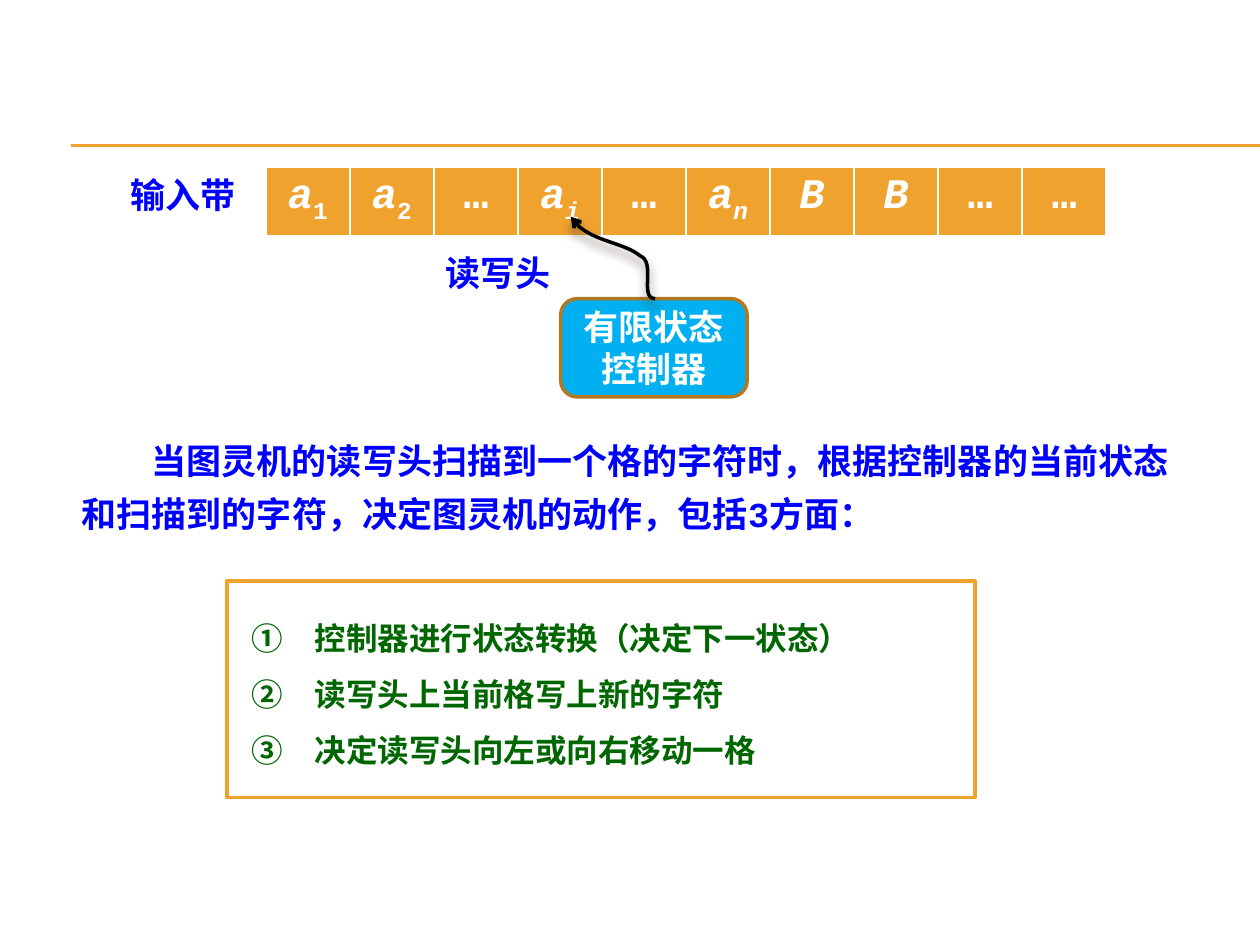
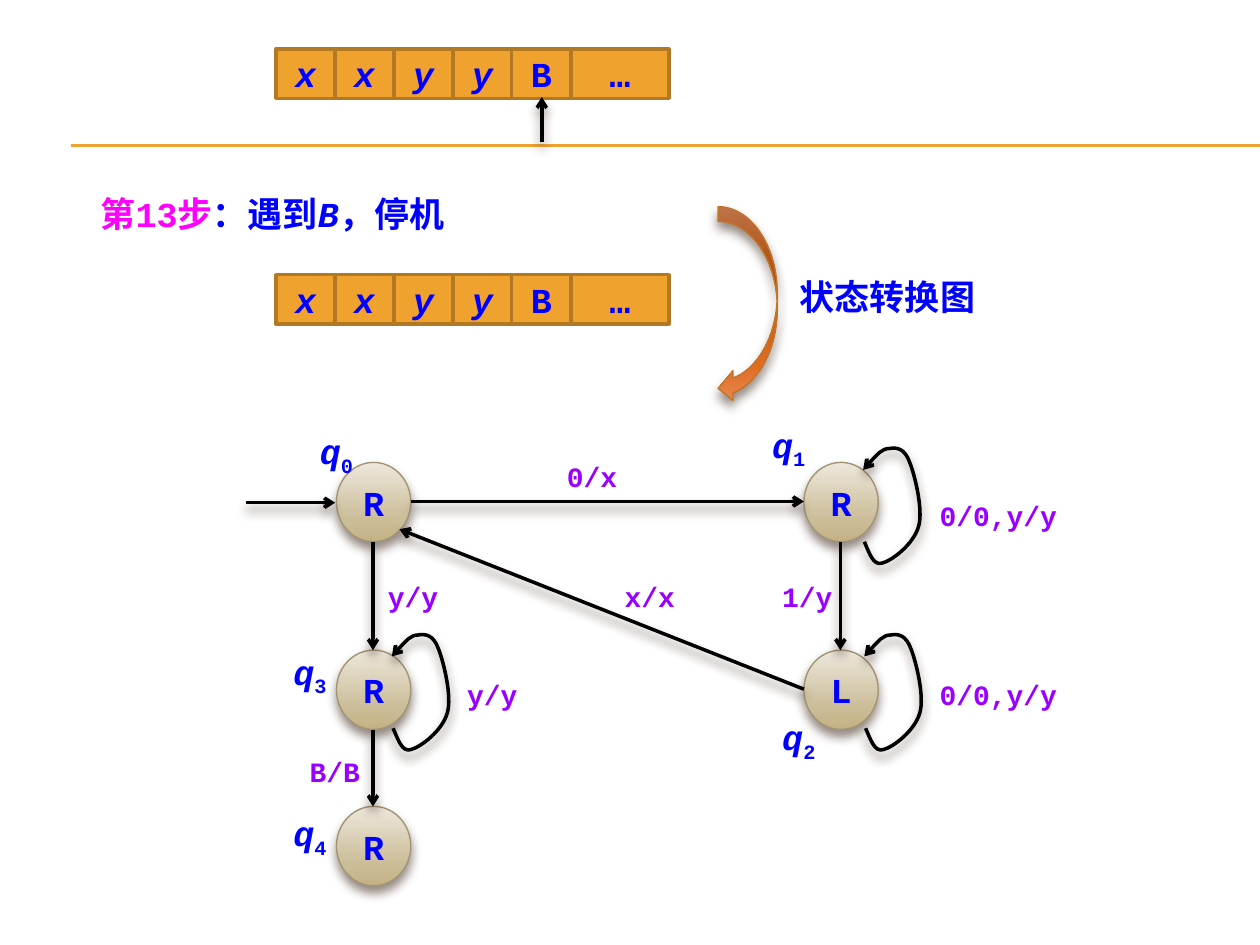
from dataclasses import dataclass

from lxml import etree
from pptx import Presentation
from pptx.dml.color import RGBColor
from pptx.enum.dml import MSO_THEME_COLOR
from pptx.enum.shapes import MSO_CONNECTOR, MSO_SHAPE
from pptx.enum.text import MSO_ANCHOR, MSO_AUTO_SIZE, PP_ALIGN
from pptx.oxml.ns import qn
from pptx.util import Inches, Pt

CENTER, TOP, MIDDLE = PP_ALIGN.CENTER, MSO_ANCHOR.TOP, MSO_ANCHOR.MIDDLE
STRAIGHT, GROW = MSO_CONNECTOR.STRAIGHT, MSO_AUTO_SIZE.SHAPE_TO_FIT_TEXT
RECTANGLE, ROUNDED, OVAL = MSO_SHAPE.RECTANGLE, MSO_SHAPE.ROUNDED_RECTANGLE, MSO_SHAPE.OVAL
CURVED_ARROW = MSO_SHAPE.CURVED_LEFT_ARROW
ACCENT = MSO_THEME_COLOR.ACCENT_1


@dataclass(frozen=True)
class Theme:
    mono: str = "Courier New"
    chinese: str = "Noto Sans CJK SC"
    white: str = "FFFFFF"
    black: str = "000000"
    amber: str = "F0A22E"
    amber_edge: str = "B27822"
    sky: str = "00B0F0"
    blue: str = "0000FF"
    green: str = "006600"
    purple: str = "9900FF"
    magenta: str = "FF00FF"
    shadow: str = "4E3B30"
    state_edge: str = "A19574"
    turn_edge: str = "C17529"
    state_stops: tuple = ((0, "EDE8DC"), (72, "CCBD99"), (100, "C4B284"))
    turn_stops: tuple = ((0, "EE8F5B"), (25, "E06D21"), (50, "D0641C"),
                         (65, "D0641C"), (80, "DE6C20"), (100, "E88852"))
    tape_size: int = 24
    body_size: int = 20
    list_size: int = 18
    edge_size: int = 16
    line_pitch: int = 24
    stroke: float = 2
    hairline: float = 0.79


THEME = Theme()
LOOP = [(0.01, 0.75), (0.05, 0.84), (0.08, 0.94), (0.15, 0.92),
        (0.23, 0.9), (0.4, 0.77), (0.44, 0.63),
        (0.48, 0.5), (0.41, 0.22), (0.37, 0.12),
        (0.33, 0.01), (0.27, 0), (0.21, 0.01),
        (0.15, 0.01), (0.07, 0.1), (0, 0.18)]
HEAD_CURVE = [(0.67, 0.65), (0.54, 0.65), (0.68, 0.36), (0.55, 0.31),
              (0.43, 0.21), (0.11, 0.19), (0, 0)]


def rgb(color):
    return RGBColor.from_string(color)


def add_xml(parent, tag, **attributes):
    return etree.SubElement(parent, qn(tag), attributes)


def set_effect(shape, shadowed=False):
    properties = shape._element.spPr
    for effect in properties.findall(qn("a:effectLst")):
        properties.remove(effect)
    effects = add_xml(properties, "a:effectLst")
    if shadowed:
        shadow = add_xml(effects, "a:outerShdw", blurRad=str(Pt(6)), dist=str(Pt(4)),
                         dir="5400000", rotWithShape="0")
        tint = add_xml(shadow, "a:srgbClr", val=THEME.shadow)
        add_xml(tint, "a:alpha", val="60000")


def set_line(shape, color, width):
    shape.line.color.rgb = rgb(color)
    shape.line.width = Pt(width)


def add_arrowhead(shape):
    outline = shape._element.spPr.find(qn("a:ln"))
    add_xml(outline, "a:tailEnd", type="arrow")


def set_gradient(shape, stops):
    shape.fill.gradient()
    shape.fill.gradient_angle = 270
    stop_list = shape._element.spPr.find(".//" + qn("a:gsLst"))
    for old_stop in list(stop_list):
        stop_list.remove(old_stop)
    for position, color in stops:
        stop = add_xml(stop_list, "a:gs", pos=str(position * 1000))
        add_xml(stop, "a:srgbClr", val=color)


def write(paragraph, runs, size, color, font=THEME.mono):
    """Each run is text, marks (i = italic, s = subscript) and an optional colour."""
    for text, marks, *tint in runs:
        run = paragraph.add_run()
        run.text = text
        run.font.size = Pt(size)
        run.font.name = font
        run.font.bold = True
        run.font.italic = "i" in marks
        run.font.color.rgb = rgb(tint[0] if tint else color)
        properties = run.font._element
        add_xml(properties, "a:ea", typeface=THEME.chinese)
        if "s" in marks:
            properties.set("baseline", "-25000")


def add_label(slide, left, top, width, runs, size=THEME.body_size, color=THEME.blue,
              font=THEME.mono, pitch=None, height=0.44):
    box = slide.shapes.add_textbox(Inches(left), Inches(top), Inches(width), Inches(height))
    frame = box.text_frame
    frame.word_wrap = True
    frame.auto_size = GROW
    paragraph = frame.paragraphs[0]
    if pitch:
        paragraph.line_spacing = Pt(pitch)
    write(paragraph, runs, size, color, font)
    return paragraph


def add_box(slide, kind, left, top, width, height, fill, edge, stroke=THEME.stroke,
            shadowed=False):
    shape = slide.shapes.add_shape(kind, Inches(left), Inches(top), Inches(width), Inches(height))
    if isinstance(fill, tuple):
        set_gradient(shape, fill)
    else:
        shape.fill.solid()
        shape.fill.fore_color.rgb = rgb(fill)
    set_line(shape, edge, stroke)
    set_effect(shape, shadowed)
    return shape


def center_text(shape, runs, color=THEME.blue, pitch=None):
    shape.text_frame.vertical_anchor = MIDDLE
    paragraph = shape.text_frame.paragraphs[0]
    paragraph.alignment = CENTER
    if pitch:
        paragraph.line_spacing = Pt(pitch)
    write(paragraph, runs, THEME.body_size, color)


def add_line(slide, start, end, color, width):
    line = slide.shapes.add_connector(STRAIGHT, *(Inches(value) for value in (*start, *end)))
    set_line(line, color, width)
    return line


def add_arrow(slide, start, end):
    arrow = add_line(slide, start, end, THEME.black, THEME.stroke)
    add_arrowhead(arrow)
    set_effect(arrow, shadowed=True)


def add_curve(slide, left, top, offsets):
    points = [(Inches(left + dx), Inches(top + dy)) for dx, dy in offsets]
    builder = slide.shapes.build_freeform(*points[0])
    builder.add_line_segments(points[1:], close=False)
    curve = builder.convert_to_shape()
    outline = curve._element.spPr.find(".//" + qn("a:path"))
    segments = outline.findall(qn("a:lnTo"))
    for first in range(0, len(segments), 3):
        bezier = add_xml(outline, "a:cubicBezTo")
        for segment in segments[first:first + 3]:
            bezier.append(segment[0])
            outline.remove(segment)
    curve.fill.background()
    set_line(curve, THEME.black, THEME.stroke)
    add_arrowhead(curve)
    set_effect(curve, shadowed=True)


def new_slide(deck):
    slide = deck.slides.add_slide(deck.slide_layouts[6])
    for height in (1.15, 1.16):
        set_effect(add_line(slide, (0.56, height), (10, height), THEME.amber, 0.75))
    return slide


def add_input_tape(slide, left, top, width, height):
    dots = [("…", "")]
    blank = [("B", "i")]
    symbols = [[("a", "i"), ("1", "s")], [("a", "i"), ("2", "s")], dots,
               [("a", "i"), ("i", "is")], dots, [("a", "i"), ("n", "is")],
               blank, blank, dots, dots]
    tape = slide.shapes.add_table(1, len(symbols), Inches(left), Inches(top),
                                  Inches(width), Inches(height)).table
    for cell, symbol in zip(tape.iter_cells(), symbols):
        cell.fill.solid()
        cell.fill.fore_color.rgb = rgb(THEME.amber)
        paragraph = cell.text_frame.paragraphs[0]
        paragraph.alignment = CENTER
        write(paragraph, symbol, THEME.tape_size, THEME.white)
        properties = cell._tc.tcPr
        for order, (side, weight) in enumerate(zip("LRTB", (1, 1, 1, 3))):
            border = add_xml(properties, f"a:ln{side}", w=str(Pt(weight)))
            add_xml(add_xml(border, "a:solidFill"), "a:srgbClr", val=THEME.white)
            properties.insert(order, border)


def add_machine(slide, left, top):
    pitch = THEME.line_pitch
    add_label(slide, left, top, 1.09, [("输入带", "")], pitch=pitch)
    add_input_tape(slide, left + 1.17, top, 6.67, 0.41)
    add_label(slide, left + 2.5, top + 0.62, 1.09, [("读写头", "")], pitch=pitch)
    controller = add_box(slide, ROUNDED, left + 3.51, top + 1.04, 1.48, 0.78,
                         THEME.sky, THEME.amber_edge)
    center_text(controller, [("有限状态控制器", "")], THEME.white, pitch)
    add_curve(slide, left + 3.59, top + 0.39, HEAD_CURVE)


def add_actions(slide, left, top, width, height):
    panel = add_box(slide, RECTANGLE, left, top, width, height, THEME.white, THEME.amber)
    frame = panel.text_frame
    frame.vertical_anchor = TOP
    frame.margin_left = frame.margin_right = frame.margin_bottom = Inches(0.2)
    frame.margin_top = Inches(0.16)
    actions = ["控制器进行状态转换（决定下一状态）", "读写头上当前格写上新的字符",
               "决定读写头向左或向右移动一格"]
    for index, action in enumerate(actions):
        paragraph = frame.add_paragraph() if index else frame.paragraphs[0]
        paragraph.alignment = PP_ALIGN.LEFT
        paragraph.line_spacing = Pt(32)
        properties = paragraph._p.get_or_add_pPr()
        properties.set("marL", str(Inches(0.5)))
        properties.set("indent", str(-Inches(0.5)))
        add_xml(properties, "a:buAutoNum", type="circleNumDbPlain")
        write(paragraph, [(action, "")], THEME.list_size, THEME.green, THEME.chinese)


def add_step_tape(slide, left, top, cell_width=0.47, height=0.39):
    for index, symbol in enumerate("xxyyB…"):
        width = 0.78 if symbol == "…" else cell_width
        cell = add_box(slide, RECTANGLE, left + index * 0.468, top, width, height,
                       THEME.amber, THEME.amber_edge)
        center_text(cell, [(symbol, "i" if symbol in "xy" else "")])


def add_state_diagram(slide, left, top):
    def at(x, y):
        return left + x, top + y

    states = [("R", 0.72, 0.36), ("R", 4.43, 0.36), ("R", 0.72, 1.85),
              ("L", 4.43, 1.85), ("R", 0.72, 3.09)]
    for move, x, y in states:
        state = add_box(slide, OVAL, *at(x, y), 0.59, 0.63, THEME.state_stops,
                        THEME.state_edge, THEME.hairline, shadowed=True)
        center_text(state, [(move, "")])

    transitions = [((0, 0.68), (0.71, 0.68)), ((1.31, 0.67), (4.43, 0.67)),
                   ((4.72, 0.99), (4.72, 1.85)), ((4.43, 2.16), (1.22, 0.89)),
                   ((1.01, 0.99), (1.01, 1.85)), ((1.01, 2.48), (1.01, 3.09))]
    for start, end in transitions:
        add_arrow(slide, at(*start), at(*end))

    for x, y in [(4.9, 0.24), (4.91, 1.72), (1.16, 1.72)]:
        add_curve(slide, *at(x, y), LOOP)

    names = [(0.49, 0.05), (4.08, 0), (4.16, 2.32), (0.28, 1.8), (0.28, 3.08)]
    for number, (x, y) in enumerate(names):
        add_label(slide, *at(x, y), 0.55, [("q", "i"), (str(number), "s")])

    edges = [("B/B", 0.41, 2.63), ("y/y", 1.03, 1.24), ("x/x", 2.91, 1.24),
             ("1/y", 4.16, 1.24), ("0/x", 2.45, 0.29), ("y/y", 1.66, 2.02),
             ("0/0,y/y", 5.41, 2.02), ("0/0,y/y", 5.41, 0.6)]
    for rule, x, y in edges:
        add_label(slide, *at(x, y), 1.25 if "," in rule else 0.78, [(rule, "")],
                  THEME.edge_size, THEME.purple, height=0.37)


def build_machine_slide(deck):
    slide = new_slide(deck)
    summary = add_label(
        slide, 0.55, 3.36, 8.98,
        [("当图灵机的读写头扫描到一个格的字符时，根据控制器的当前状态和扫描到的字符，"
          "决定图灵机的动作，包括3方面：", "")], pitch=30, height=0.9)
    summary._p.get_or_add_pPr().set("indent", str(Pt(2 * THEME.body_size)))
    add_machine(slide, 0.94, 1.33)
    add_actions(slide, 1.8, 4.61, 5.94, 1.72)


def build_transition_slide(deck):
    slide = new_slide(deck)
    add_step_tape(slide, 2.19, 0.39)
    add_arrow(slide, (4.3, 1.13), (4.3, 0.77))
    add_label(slide, 0.7, 1.48, 4.53,
              [("第13步", "", THEME.magenta), ("：遇到", ""), ("B", "i"), ("，停机", "")],
              pitch=THEME.line_pitch)
    add_step_tape(slide, 2.19, 2.18)
    add_state_diagram(slide, 1.95, 3.31)
    add_box(slide, CURVED_ARROW, 5.7, 1.64, 0.47, 1.56, THEME.turn_stops,
            THEME.turn_edge, THEME.hairline, shadowed=True)
    add_label(slide, 6.25, 2.14, 1.8, [("状态转换图", "")], font=THEME.chinese,
              pitch=THEME.line_pitch)


def main():
    deck = Presentation()
    deck.slide_width, deck.slide_height = Inches(10), Inches(7.5)
    build_machine_slide(deck)
    build_transition_slide(deck)
    deck.save("out.pptx")


if __name__ == "__main__":
    main()
